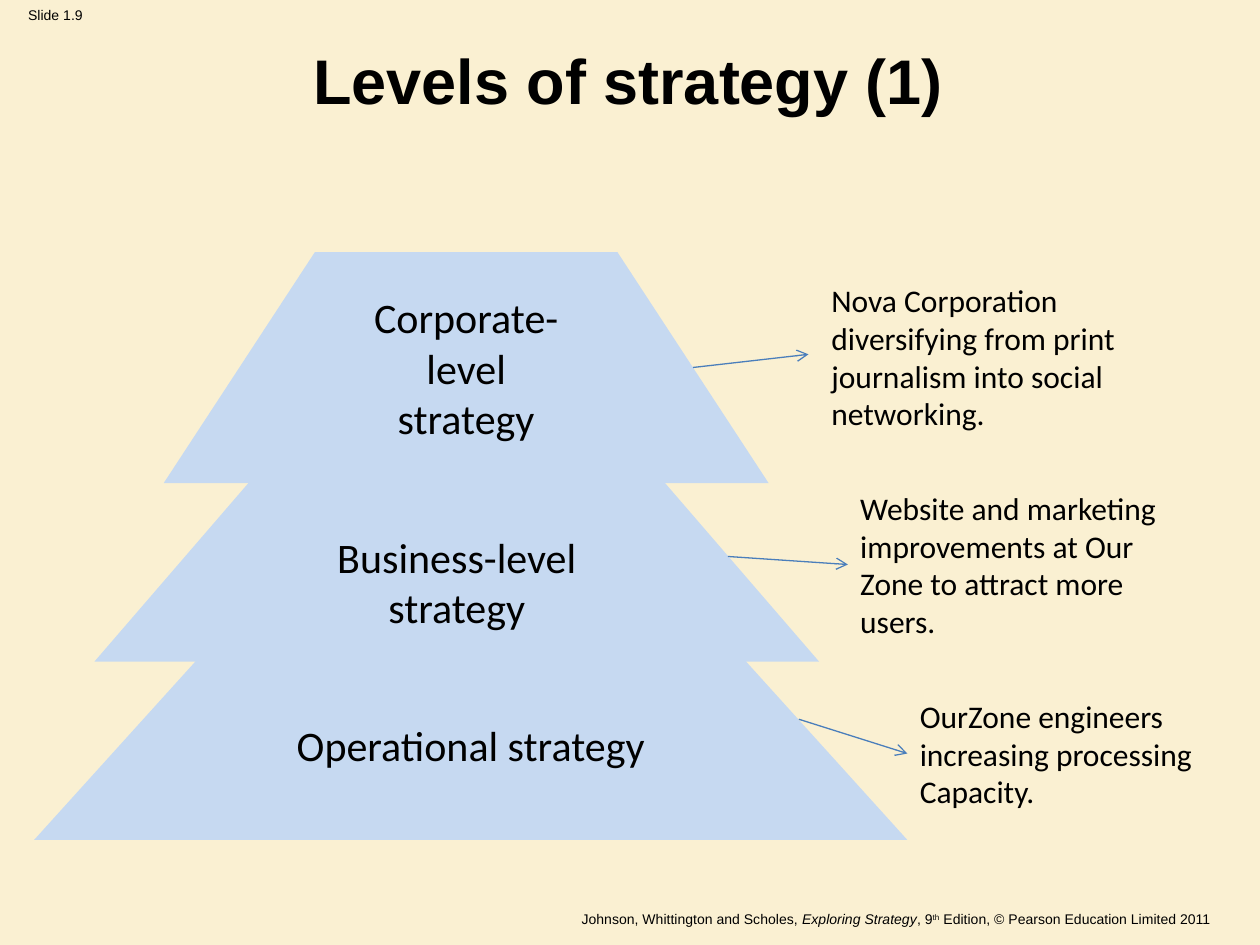
"""Build the 'Levels of strategy' slide with its three-tier pyramid."""
from lxml import etree
from pptx import Presentation
from pptx.dml.color import RGBColor
from pptx.enum.shapes import MSO_CONNECTOR
from pptx.enum.text import MSO_ANCHOR, PP_ALIGN
from pptx.oxml.ns import qn
from pptx.util import Pt

STRAIGHT = MSO_CONNECTOR.STRAIGHT
MIDDLE, TOP = MSO_ANCHOR.MIDDLE, MSO_ANCHOR.TOP
LEFT, CENTER, RIGHT = PP_ALIGN.LEFT, PP_ALIGN.CENTER, PP_ALIGN.RIGHT
LEFT_SIDE = 1

COLORS = {"page": "FAF0D2", "tier": "C6D9F1", "arrow": "4A7EBB", "text": "000000"}
FORMATS = {
    "title": {"name": "Arial", "size": Pt(36), "bold": True},
    "small": {"name": "Arial", "size": Pt(8)},
    "tier": {"name": "Calibri", "size": Pt(24)},
    "note": {"name": "Calibri", "size": Pt(18)},
}

TIERS = [
    (19.5, 342, 499, 138, 29, ["Operational strategy"]),
    (54, 258, 414, 120, 29, ["Business-level", "strategy"]),
    (93.6, 144, 345.6, 132, 0, ["Corporate-", "level", "strategy"]),
]
NOTES = [
    ((468, 157, 215, 93.6), (396, 210), (462, 202.5),
     ["Nova Corporation diversifying from print journalism into social networking."]),
    ((484.5, 275.8, 204.5, 93.6), (416, 318), None,
     ["Website and marketing improvements at Our Zone to attract more users."]),
    ((518.5, 394.6, 201.5, 72), (456.5, 411), None,
     ["OurZone engineers increasing processing", "Capacity."]),
]
FOOTER = [
    ("Johnson, Whittington and Scholes, ", {}),
    ("Exploring Strategy", {"italic": True}),
    (", 9", {}),
    ("th", {"baseline": 30000}),
    (" Edition, © Pearson Education Limited 2011", {}),
]


class SlideBuilder:
    """Holds the style and the current slide."""

    def __init__(self, deck):
        self.page = deck.slides.add_slide(deck.slide_layouts[5])
        self.shapes = self.page.shapes
        fill = self.page.background.fill
        fill.solid()
        fill.fore_color.rgb = self.color("page")

    def color(self, name):
        """Return the named colour."""
        return RGBColor.from_string(COLORS[name])

    def fill_text(self, frame, paragraphs, style, align, anchor=TOP, wrap=True):
        """Fill a text frame with paragraphs, each a list of (text, format) spans."""
        frame.word_wrap = wrap
        frame.vertical_anchor = anchor
        for index, spans in enumerate(paragraphs):
            para = frame.add_paragraph() if index else frame.paragraphs[0]
            para.alignment = align
            for text, extra in spans:
                span = para.add_run()
                span.text = text
                span.font.color.rgb = self.color("text")
                values = {**FORMATS[style], **extra}
                baseline = values.pop("baseline", None)
                for key, value in values.items():
                    setattr(span.font, key, value)
                if baseline:
                    span._r.get_or_add_rPr().set("baseline", str(baseline))

    def title(self, text, left, top, width, height):
        """Place the title placeholder."""
        box = self.shapes.title
        box.left, box.top, box.width, box.height = map(Pt, (left, top, width, height))
        self.fill_text(box.text_frame, [[(text, {})]], "title", CENTER, MIDDLE)

    def text(self, bounds, paragraphs, style, align, wrap=True):
        """Add a text box."""
        box = self.shapes.add_textbox(*map(Pt, bounds))
        self.fill_text(box.text_frame, paragraphs, style, align, wrap=wrap)
        return box

    def tier(self, left, top, width, height, drop, lines):
        """Add a pyramid tier whose top edge is half as wide as its base."""
        right, bottom, slope = left + width, top + height, width / 4
        outline = self.shapes.build_freeform(Pt(left), Pt(bottom))
        corners = [(left + slope, top), (right - slope, top), (right, bottom)]
        outline.add_line_segments([(Pt(x), Pt(y)) for x, y in corners], close=True)
        shape = outline.convert_to_shape()
        shape.shadow.inherit = False
        shape.fill.solid()
        shape.fill.fore_color.rgb = self.color("tier")
        shape.line.fill.background()
        shape.text_frame.margin_top = Pt(3.6 + drop)
        self.fill_text(shape.text_frame, [[(line, {})] for line in lines],
                       "tier", CENTER, MIDDLE, wrap=False)

    def arrow(self, start, end, target=None):
        """Add an arrow to a point, or to the left side of a target box."""
        line = self.shapes.add_connector(STRAIGHT, *map(Pt, (*start, *end)))
        if target is not None:
            line.end_connect(target, LEFT_SIDE)
        line.line.color.rgb = self.color("arrow")
        line.line.width = Pt(0.75)
        etree.SubElement(line.line._get_or_add_ln(), qn("a:tailEnd"), type="arrow")
        etree.SubElement(line._element.spPr, qn("a:effectLst"))

    def note(self, bounds, start, end, lines):
        """Add an example text and the arrow leading to it."""
        box = self.text(bounds, [[(line, {})] for line in lines], "note", LEFT)
        if end:
            self.arrow(start, end)
        else:
            self.arrow(start, bounds[:2], box)


def main():
    """Build and save the deck."""
    deck = Presentation()
    deck.slide_width, deck.slide_height = Pt(720), Pt(540)
    builder = SlideBuilder(deck)
    builder.text((18.5, 517, 680.5, 15), [FOOTER], "small", RIGHT)
    builder.text((0, 0, 63.5, 17), [[("Slide 1.9", {})]], "small", CENTER, wrap=False)
    builder.title("Levels of strategy (1)", 35, 20, 648, 50.5)
    for tier in TIERS:
        builder.tier(*tier)
    for note in NOTES:
        builder.note(*note)
    deck.save("out.pptx")


if __name__ == "__main__":
    main()
